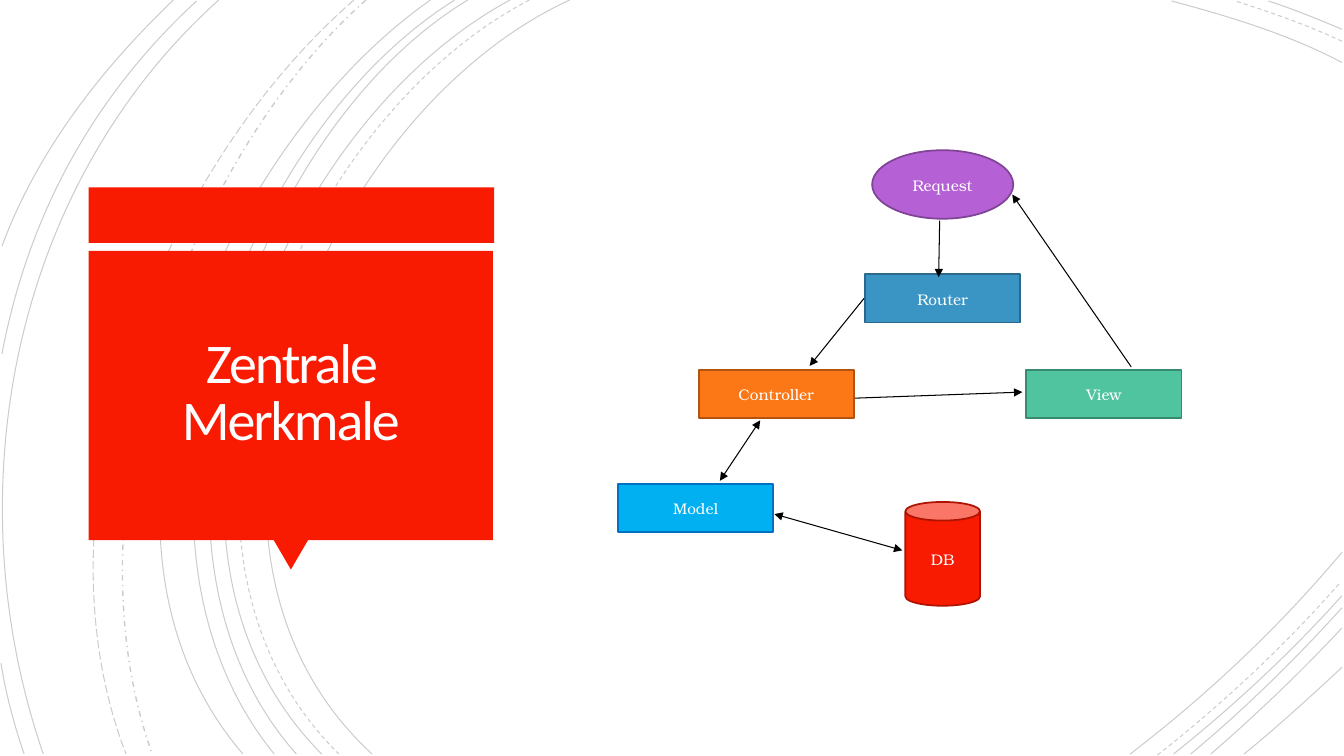
"""Build a slide showing the request flow of an MVC framework beside its title."""
from lxml.etree import SubElement
from pptx import Presentation
from pptx.dml.color import RGBColor
from pptx.enum.dml import MSO_LINE
from pptx.enum.shapes import MSO_CONNECTOR, MSO_SHAPE
from pptx.enum.text import MSO_ANCHOR, MSO_AUTO_SIZE, PP_ALIGN
from pptx.oxml.ns import qn
from pptx.util import Inches, Pt

RED, BLACK, WHITE = "F81B02", "000000", "FFFFFF"
TITLE = "Zentrale Merkmale"

# Each arc: start, two control points, end
SOLID_ARCS = [
    [(5.65, 0), (3.15, 1.15), (1.43, 5.4), (3.69, 7.48)],
    [(13.31, 0.62), (12.78, 0.34), (12.18, 0.16), (11.62, 0.01)],
    [(11.21, 7.48), (11.97, 6.9), (12.69, 6.22), (13.31, 5.48)],
    [(5.06, 0), (2.7, 1.27), (1.1, 5.37), (3.19, 7.48)],
    [(13.31, 0.29), (13.07, 0.19), (12.83, 0.09), (12.58, 0.01)],
    [(11.64, 7.48), (12.23, 7.01), (12.8, 6.48), (13.31, 5.91)],
    [(4.64, 0), (2.44, 1.33), (1.1, 5.41), (2.94, 7.48)],
    [(11.81, 7.48), (12.34, 7.04), (12.84, 6.55), (13.31, 6.03)],
    [(4.51, 0), (2.31, 1.38), (0.97, 5.33), (2.72, 7.48)],
    [(12.01, 7.48), (12.46, 7.09), (12.9, 6.67), (13.31, 6.23)],
    [(4.27, 0), (2.17, 1.47), (0.53, 5.29), (2.41, 7.48)],
    [(12.34, 7.48), (12.67, 7.21), (12.99, 6.92), (13.31, 6.62)],
    [(2.17, 0), (0.11, 1.85), (-0.46, 4.9), (0.43, 7.48)],
    [(1.95, 0.01), (0.92, 0.96), (0.28, 2.14), (0.02, 3.51)],
    [(0.01, 6.58), (0.06, 6.89), (0.14, 7.19), (0.24, 7.48)],
    [(1.72, 0), (1, 0.69), (0.37, 1.5), (0.02, 2.44)],
]
DASHED_ARCS = [
    [(5.25, 0), (2.85, 1.25), (1.23, 5.37), (3.36, 7.48)],
    [(13.31, 0.41), (12.97, 0.25), (12.6, 0.12), (12.25, 0.01)],
    [(11.48, 7.49), (12.13, 6.98), (12.75, 6.4), (13.3, 5.77)],
]
DASH_DOT_ARCS = [[(3.63, 0), (1.76, 1.66), (0.65, 5.09), (1.51, 7.48)]]
LONG_DASH_ARCS = [[(3.51, 0), (1.57, 1.69), (0.29, 4.99), (1.25, 7.48)]]
ARC_STYLES = [
    (SOLID_ARCS, MSO_LINE.SOLID, 0.75),
    (DASHED_ARCS, MSO_LINE.DASH, 0.75),
    (DASH_DOT_ARCS, MSO_LINE.DASH_DOT, 1),
    (LONG_DASH_ARCS, MSO_LINE.LONG_DASH, 0.75),
]

CARD_PARTS = [
    (MSO_SHAPE.RECTANGLE, (0.88, 1.86, 4.02, 0.55), 0),
    (MSO_SHAPE.ISOSCELES_TRIANGLE, (2.71, 5.35, 0.35, 0.3), 180),
    (MSO_SHAPE.RECTANGLE, (0.88, 2.49, 4.01, 2.87), 0),
]

BOX_SIZE = (1.54, 0.48)
NODES = [
    ("Request", MSO_SHAPE.OVAL, (8.65, 1.49), (1.4, 0.68), "B560D4", "804496"),
    ("Router", MSO_SHAPE.RECTANGLE, (8.58, 2.72), BOX_SIZE, "3B95C4", "2A698B"),
    ("Model", MSO_SHAPE.RECTANGLE, (6.13, 4.8), BOX_SIZE, "00B0F0", "0070C0"),
    ("Controller", MSO_SHAPE.RECTANGLE, (6.93, 3.67), BOX_SIZE, "FC7715", "B2540F"),
    ("View", MSO_SHAPE.RECTANGLE, (10.18, 3.67), BOX_SIZE, "50C49F", "388B71"),
    ("DB", MSO_SHAPE.CAN, (8.98, 4.98), (0.74, 1.03), RED, "AF1301"),
]

# Start, end, whether the arrow points both ways
ARROWS = [
    ((9.32, 2.19), (9.31, 2.75), False),
    ((7.68, 5.1), (8.95, 5.46), True),
    ((7.54, 4.17), (7.14, 4.77), True),
    ((8.57, 2.96), (8.03, 3.63), False),
    ((8.48, 3.95), (10.14, 3.89), False),
    ((11.22, 3.64), (10.04, 1.93), False),
]


def fill_solid(fill, color):
    fill.solid()
    fill.fore_color.rgb = RGBColor.from_string(color)


def bend_segments(arc):
    outline = arc._element.spPr.find(".//" + qn("a:path"))
    segments = outline.findall(qn("a:lnTo"))
    curve = SubElement(outline, qn("a:cubicBezTo"))
    for segment in segments:
        curve.append(segment[0])
        outline.remove(segment)


def add_arc(slide, controls, dash, width):
    start, *others = [(Inches(x), Inches(y)) for x, y in controls]
    builder = slide.shapes.build_freeform(*start)
    builder.add_line_segments(others, close=False)
    arc = builder.convert_to_shape()
    bend_segments(arc)
    arc.shadow.inherit = False
    arc.fill.background()
    fill_solid(arc.line.fill, BLACK)
    arc.line.width = Pt(width)
    arc.line.dash_style = dash
    color = arc._element.spPr.find(qn("a:ln")).find(".//" + qn("a:srgbClr"))
    SubElement(color, qn("a:alpha"), val="20000")


def add_filled_shape(slide, kind, bounds, color):
    shape = slide.shapes.add_shape(kind, *map(Inches, bounds))
    shape.shadow.inherit = False
    fill_solid(shape.fill, color)
    shape.line.fill.background()
    return shape


def add_centred_text(shape, text, font_name, size, color, line_spacing):
    shape.text_frame.vertical_anchor = MSO_ANCHOR.MIDDLE
    shape.text_frame.word_wrap = True
    paragraph = shape.text_frame.paragraphs[0]
    paragraph.alignment = PP_ALIGN.CENTER
    paragraph.line_spacing = line_spacing
    run = paragraph.add_run()
    run.text = text
    run.font.name = font_name
    run.font.size = Pt(size)
    fill_solid(run.font.fill, color)
    return paragraph


def add_title(slide):
    title = slide.shapes.title
    title.left, title.top, title.width, title.height = map(Inches, (0.97, 2.57, 3.83, 2.69))
    frame = title.text_frame
    frame.auto_size = MSO_AUTO_SIZE.NONE
    frame.margin_left = frame.margin_right = Inches(0.25)
    frame.margin_top = frame.margin_bottom = Inches(0.25)
    paragraph = add_centred_text(title, TITLE, "Calibri", 40, "FFFEFF", 0.85)
    paragraph.runs[0].font._element.set("spc", "-150")
    slide.shapes._spTree.append(title._element)


def add_node(slide, label, kind, position, size, color, outline):
    node = add_filled_shape(slide, kind, position + size, color)
    fill_solid(node.line.fill, outline)
    node.line.width = Pt(1.25)
    paragraph = add_centred_text(node, label, "TeX Gyre Bonum", 11, WHITE, 1.07)
    paragraph.space_after = Pt(8)


def add_arrow(slide, start, end, both_ways):
    arrow = slide.shapes.add_connector(MSO_CONNECTOR.STRAIGHT, *map(Inches, start + end))
    fill_solid(arrow.line.fill, BLACK)
    arrow.line.width = Pt(0.75)
    properties = arrow._element.spPr
    line = properties.find(qn("a:ln"))
    for tag in ("a:headEnd", "a:tailEnd") if both_ways else ("a:tailEnd",):
        SubElement(line, qn(tag), type="triangle")
    SubElement(properties, qn("a:effectLst"))


def main():
    presentation = Presentation()
    presentation.slide_width, presentation.slide_height = Inches(13.33), Inches(7.5)
    slide = presentation.slides.add_slide(presentation.slide_layouts[5])
    for arcs, dash, width in ARC_STYLES:
        for controls in arcs:
            add_arc(slide, controls, dash, width)
    for kind, bounds, rotation in CARD_PARTS:
        add_filled_shape(slide, kind, bounds, RED).rotation = rotation
    add_title(slide)
    for node in NODES:
        add_node(slide, *node)
    for arrow in ARROWS:
        add_arrow(slide, *arrow)
    presentation.save("out.pptx")


if __name__ == "__main__":
    main()
